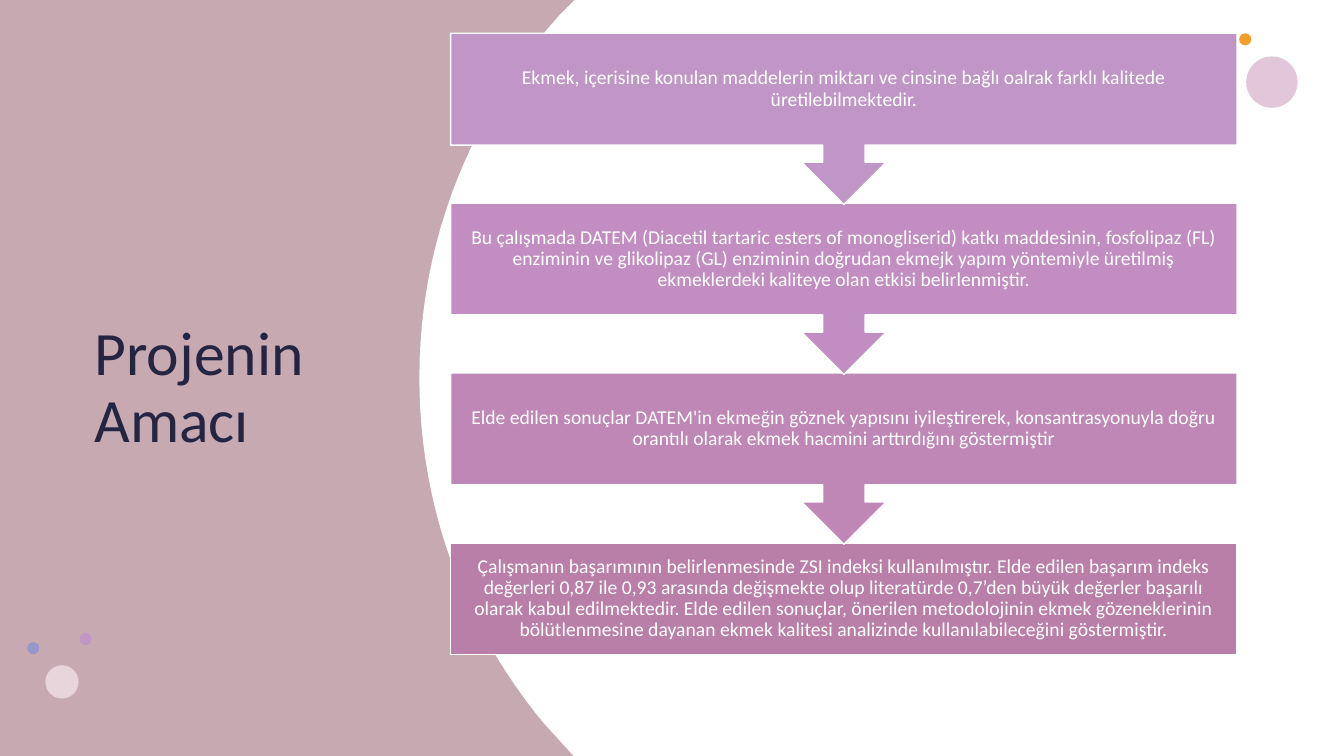
from pptx import Presentation
from pptx.dml.color import RGBColor
from pptx.enum.shapes import MSO_SHAPE
from pptx.enum.text import MSO_ANCHOR, PP_ALIGN
from pptx.oxml.xmlchemy import OxmlElement
from pptx.util import Inches, Pt

WHITE = RGBColor(0xFF, 0xFF, 0xFF)
ROSE = RGBColor(0xC7, 0xA9, 0xB2)
NAVY = RGBColor(0x25, 0x24, 0x41)
PINK = RGBColor(0xD6, 0xB2, 0xCB)
ORANGE = RGBColor(0xF3, 0x9E, 0x29)
LILAC = RGBColor(0xC0, 0x96, 0xC6)
PALE = RGBColor(0xE8, 0xD5, 0xDB)
BLUE = RGBColor(0x98, 0x96, 0xC6)
ORCHID = RGBColor(0xC2, 0x8E, 0xC1)
MAUVE = RGBColor(0xBE, 0x87, 0xB6)
PLUM = RGBColor(0xBA, 0x7F, 0xA9)

WIDTH, HEIGHT = 13.33, 7.5
STEP_LEFT, STEP_TOP, STEP_WIDTH, STEP_HEIGHT = 4.47, 0.33, 7.8, 1.11
STEP_PITCH = 1.685
ARROW_DEPTH, NECK_DEPTH = 0.59, 0.17
NECK_HALF, HEAD_HALF = 0.21, 0.42

STEPS = [
    (LILAC, "Ekmek, içerisine konulan maddelerin miktarı ve cinsine bağlı oalrak "
            "farklı kalitede üretilebilmektedir."),
    (ORCHID, "Bu çalışmada DATEM (Diacetil tartaric esters of monogliserid) katkı "
             "maddesinin, fosfolipaz (FL) enziminin ve glikolipaz (GL) enziminin "
             "doğrudan ekmejk yapım yöntemiyle üretilmiş ekmeklerdeki kaliteye olan "
             "etkisi belirlenmiştir."),
    (MAUVE, "Elde edilen sonuçlar DATEM'in ekmeğin göznek yapısını iyileştirerek, "
            "konsantrasyonuyla doğru orantılı olarak ekmek hacmini arttırdığını "
            "göstermiştir"),
    (PLUM, "Çalışmanın başarımının belirlenmesinde ZSI indeksi kullanılmıştır. Elde "
           "edilen başarım indeks değerleri 0,87 ile 0,93 arasında değişmekte olup "
           "literatürde 0,7’den büyük değerler başarılı olarak kabul edilmektedir. "
           "Elde edilen sonuçlar, önerilen metodolojinin ekmek gözeneklerinin "
           "bölütlenmesine dayanan ekmek kalitesi analizinde kullanılabileceğini "
           "göstermiştir."),
]

DOTS = [
    (12.36, 0.56, 0.51, PINK, 72),
    (12.29, 0.33, 0.12, ORANGE, 100),
    (0.79, 6.28, 0.12, LILAC, 100),
    (0.45, 6.6, 0.33, PALE, 100),
    (0.27, 6.37, 0.12, BLUE, 100),
]


def set_values(target, values):
    for name, value in values.items():
        setattr(target, name, value)


def paint(shape, color, outlined=False):
    shape.shadow.inherit = False
    shape.fill.solid()
    shape.fill.fore_color.rgb = color
    if outlined:
        shape.line.color.rgb = WHITE
        shape.line.width = Pt(1)
    else:
        shape.line.fill.background()


def add_outline(page, points, color, outlined=False):
    corners = [(Inches(x), Inches(y)) for x, y in points]
    builder = page.shapes.build_freeform(*corners[0])
    builder.add_line_segments(corners[1:], close=True)
    shape = builder.convert_to_shape()
    paint(shape, color, outlined)
    return shape


def curve(start, first, second, end, pieces=24):
    points = []
    for index in range(pieces + 1):
        t = index / pieces
        u = 1 - t
        points.append(tuple(
            u**3 * a + 3 * u**2 * t * b + 3 * u * t**2 * c + t**3 * d
            for a, b, c, d in zip(start, first, second, end)))
    return points


def add_background(page):
    panel = page.shapes.add_shape(
        MSO_SHAPE.RECTANGLE, 0, 0, Inches(WIDTH), Inches(HEIGHT))
    paint(panel, ROSE)
    lower = curve((5.39, 7.17), (4.62, 6.24), (4.16, 5.05), (4.16, 3.75))
    upper = curve((4.16, 3.75), (4.16, 2.36), (4.69, 1.1), (5.56, 0.14))
    corners = [(5.7, 0), (WIDTH, 0), (WIDTH, HEIGHT), (5.69, HEIGHT)]
    add_outline(page, corners + lower + upper[1:], WHITE)


def add_dot(page, left, top, size, color, opacity):
    dot = page.shapes.add_shape(
        MSO_SHAPE.OVAL, Inches(left), Inches(top), Inches(size), Inches(size))
    paint(dot, color)
    if opacity < 100:
        alpha = OxmlElement("a:alpha")
        alpha.set("val", str(opacity * 1000))
        dot.fill._xPr.find(".//{*}srgbClr").append(alpha)


def write_text(shape, text, frame_format, para_format, font_format, color):
    frame = shape.text_frame
    set_values(frame, {"word_wrap": True, "vertical_anchor": MSO_ANCHOR.MIDDLE,
                       **frame_format})
    para = frame.paragraphs[0]
    set_values(para, {"line_spacing": 0.9, **para_format})
    span = para.add_run()
    span.text = text
    set_values(span.font, {"name": "Calibri", **font_format})
    span.font.color.rgb = color


def add_title(page, text):
    box = page.shapes.add_textbox(
        Inches(0.84), Inches(1.04), Inches(3.13), Inches(5.64))
    write_text(box, text, {}, {"alignment": PP_ALIGN.LEFT}, {"size": Pt(44)}, NAVY)


def add_step(page, top, color, text, has_arrow):
    right, bottom = STEP_LEFT + STEP_WIDTH, top + STEP_HEIGHT
    middle = STEP_LEFT + STEP_WIDTH / 2
    neck = bottom + NECK_DEPTH
    points = [(STEP_LEFT, bottom), (STEP_LEFT, top), (right, top), (right, bottom)]
    if has_arrow:
        points += [
            (middle + NECK_HALF, bottom), (middle + NECK_HALF, neck),
            (middle + HEAD_HALF, neck), (middle, bottom + ARROW_DEPTH),
            (middle - HEAD_HALF, neck), (middle - NECK_HALF, neck),
            (middle - NECK_HALF, bottom)]
    step = add_outline(page, points, color, outlined=True)
    margin = Inches(0.11)
    margins = {f"margin_{side}": margin for side in ("left", "top", "right")}
    margins["margin_bottom"] = Inches(0.11 + ARROW_DEPTH * has_arrow)
    write_text(step, text, margins,
               {"alignment": PP_ALIGN.CENTER, "space_after": Pt(6)},
               {"size": Pt(14)}, WHITE)


def main():
    deck = Presentation()
    set_values(deck, {"slide_width": Inches(WIDTH), "slide_height": Inches(HEIGHT)})
    page = deck.slides.add_slide(deck.slide_layouts[6])
    add_background(page)
    for dot in DOTS:
        add_dot(page, *dot)
    add_title(page, "Projenin Amacı")
    last = len(STEPS) - 1
    for index, (color, text) in reversed(list(enumerate(STEPS))):
        add_step(page, STEP_TOP + index * STEP_PITCH, color, text, index < last)
    deck.save("out.pptx")


if __name__ == "__main__":
    main()
